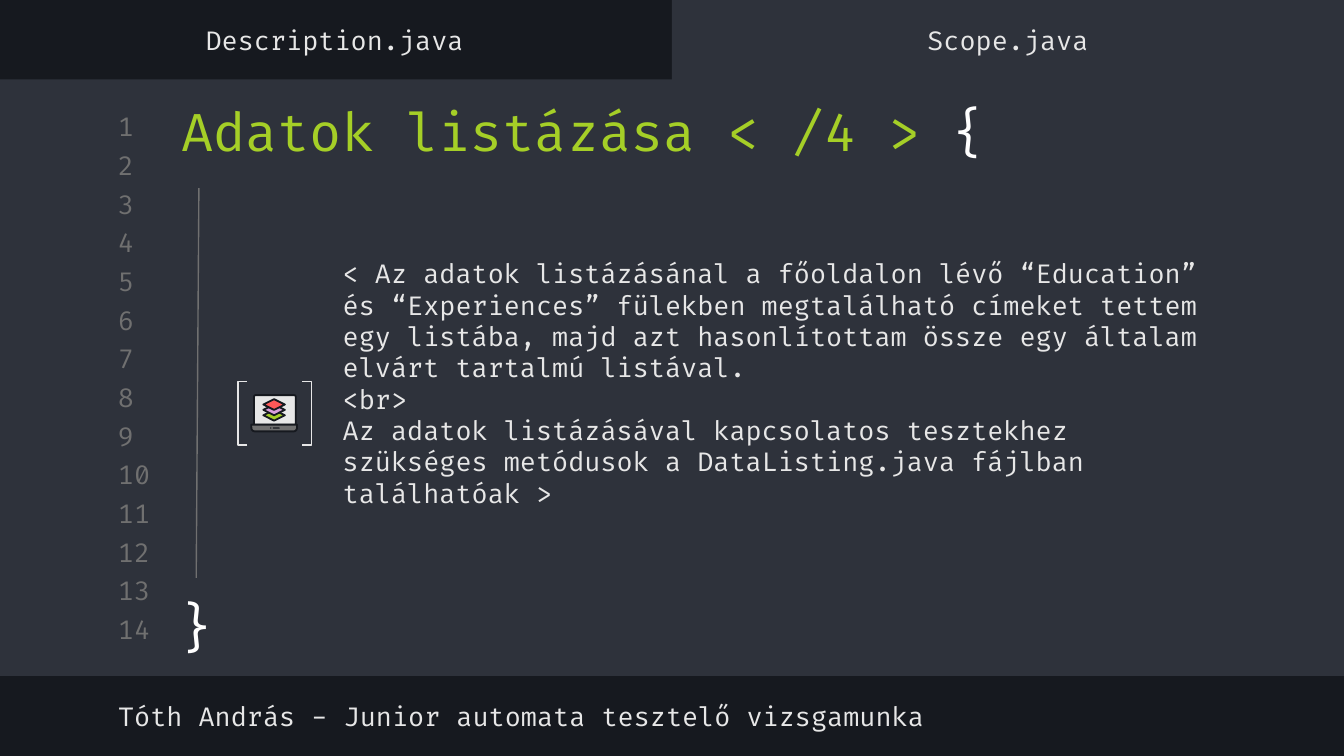
"""Build a code-editor style slide about listing data."""
from dataclasses import dataclass

from lxml.etree import SubElement
from pptx import Presentation
from pptx.dml.color import RGBColor
from pptx.enum.shapes import MSO_CONNECTOR, MSO_SHAPE
from pptx.enum.text import MSO_ANCHOR, MSO_AUTO_SIZE, PP_ALIGN
from pptx.oxml.ns import qn
from pptx.util import Inches, Pt


@dataclass(frozen=True)
class Theme:
    font: str = "Fira Code"
    dark: str = "16191F"
    panel: str = "2E323B"
    light: str = "E7E7E7"
    white: str = "FFFFFF"
    gray: str = "707070"
    green: str = "A5CF27"
    pink: str = "DBA0DB"
    red: str = "FF5858"
    big: int = 28
    small: int = 14
    line: float = 0.75
    edge: float = 1


theme = Theme()


def write(box, place, lines, size=theme.small, align=PP_ALIGN.LEFT, anchor=MSO_ANCHOR.MIDDLE):
    box.left, box.top, box.width, box.height = map(Inches, place)
    frame = box.text_frame
    frame.word_wrap = True
    frame.auto_size = MSO_AUTO_SIZE.NONE
    frame.vertical_anchor = anchor
    frame.margin_left = frame.margin_right = Inches(0.1)
    frame.margin_top = frame.margin_bottom = Inches(0.1)
    for row, parts in enumerate(lines):
        para = frame.add_paragraph() if row else frame.paragraphs[0]
        para.alignment = align
        para.space_before = Pt(0)
        props = para._p.get_or_add_pPr()
        props.set("marL", "0")
        props.set("indent", "0")
        SubElement(props, qn("a:buNone"))
        for text, color in parts:
            run = para.add_run()
            run.text = text
            run.font.name = theme.font
            run.font.size = Pt(size)
            run.font.color.rgb = RGBColor.from_string(color)


def draw(shapes, kind, place, fill=None, line=None, width=theme.line):
    shape = shapes.add_shape(kind, *map(Inches, place))
    shape.shadow.inherit = False
    if fill:
        shape.fill.solid()
        shape.fill.fore_color.rgb = RGBColor.from_string(fill)
    else:
        shape.fill.background()
    if line:
        shape.line.color.rgb = RGBColor.from_string(line)
        shape.line.width = Pt(width)
    else:
        shape.line.fill.background()
    return shape


deck = Presentation()
deck.slide_width, deck.slide_height = Inches(10), Inches(10 * 9 / 16)
slide = deck.slides.add_slide(deck.slide_layouts[1])
shapes = slide.shapes
back = slide.background.fill
back.solid()
back.fore_color.rgb = RGBColor.from_string(theme.dark)

title, body = shapes.title, slide.placeholders[1]
for place in [(0, 0.59, 10, 4.44), (5, 0, 5, 0.65)]:
    panel = draw(shapes, MSO_SHAPE.RECTANGLE, place, theme.panel)
    title.element.addprevious(panel.element)

write(title, (1.25, 0.68, 7.99, 0.58),
      [[("Adatok listázása < /4 > ", theme.green), ("{", theme.white)]], theme.big)
notes = [
    "< Az adatok listázásánal a főoldalon lévő “Education” és “Experiences” fülekben "
    "megtalálható címeket tettem egy listába, majd azt hasonlítottam össze egy általam "
    "elvárt tartalmú listával.",
    "<br>",
    "Az adatok listázásával kapcsolatos tesztekhez szükséges metódusok a "
    "DataListing.java fájlban találhatóak >",
]
write(body, (2.45, 1.4, 6.79, 2.9), [[(note, theme.light)] for note in notes])

count, first, last = 14, 0.82, 4.56
for row in range(count):
    top = first + (last - first) * row / (count - 1)
    write(shapes.add_textbox(0, 0, 0, 0), (0.78, top, 0.47, 0.24),
          [[(str(row + 1), theme.gray)]])

labels = [
    ("Description.java", (-0.01, 0.1, 5, 0.39), PP_ALIGN.CENTER),
    ("Scope.java", (5, 0.1, 5, 0.39), PP_ALIGN.CENTER),
    ("Tóth András - Junior automata tesztelő vizsgamunka", (0.78, 5.13, 7.82, 0.39), PP_ALIGN.LEFT),
]
for text, place, align in labels:
    write(shapes.add_textbox(0, 0, 0, 0), place, [[(text, theme.light)]], align=align)
write(shapes.add_textbox(0, 0, 0, 0), (1.19, 4.32, 0.55, 0.67),
      [[("}", theme.white)]], theme.big, PP_ALIGN.CENTER, MSO_ANCHOR.TOP)

laptop = shapes.add_group_shape().shapes
draw(laptop, MSO_SHAPE.ROUND_2_SAME_RECTANGLE, (1.89, 2.94, 0.31, 0.22),
     theme.light, theme.dark, theme.edge).adjustments[0] = 0.05
base = draw(laptop, MSO_SHAPE.ROUND_2_SAME_RECTANGLE, (1.87, 3.16, 0.34, 0.05),
            theme.gray, theme.dark, theme.edge)
base.rotation = 180
base.adjustments[0] = 0.5
for step, color in enumerate([theme.green, theme.pink, theme.red]):
    draw(laptop, MSO_SHAPE.DIAMOND, (1.96, 3.05 - 0.04 * step, 0.16, 0.08),
         color, theme.dark, theme.edge)
draw(laptop, MSO_SHAPE.OVAL, (2.01, 3.18, 0.01, 0.01), theme.dark)
draw(laptop, MSO_SHAPE.ROUNDED_RECTANGLE, (2.03, 3.18, 0.05, 0.01), theme.dark)

frame = shapes.add_group_shape().shapes
for kind, left in [(MSO_SHAPE.LEFT_BRACKET, 1.77), (MSO_SHAPE.RIGHT_BRACKET, 2.25)]:
    draw(frame, kind, (left, 2.84, 0.07, 0.47), line=theme.light).adjustments[0] = 0

guide = shapes.add_connector(MSO_CONNECTOR.STRAIGHT, *map(Inches, (1.48, 1.4, 1.46, 4.3)))
guide.line.color.rgb = RGBColor.from_string(theme.gray)
guide.line.width = Pt(theme.line)
SubElement(guide._element.spPr, qn("a:effectLst"))

deck.save("out.pptx")
